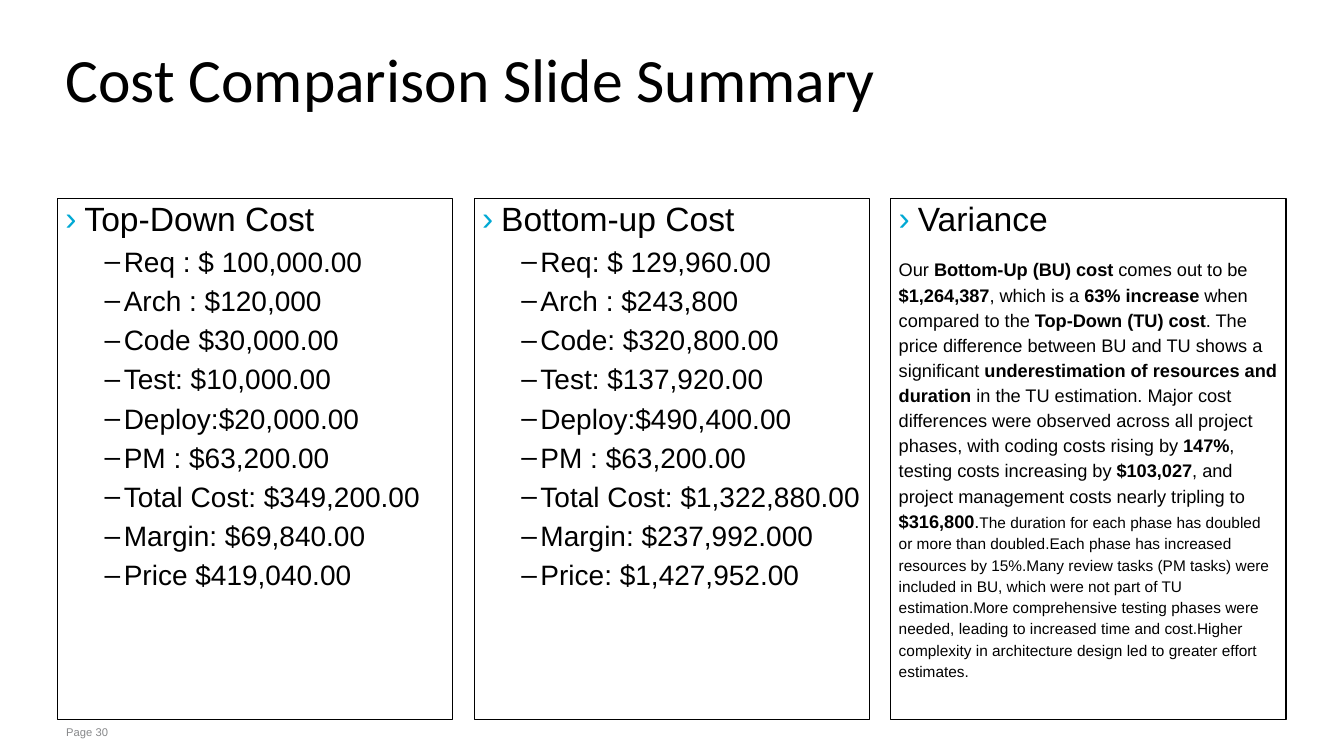
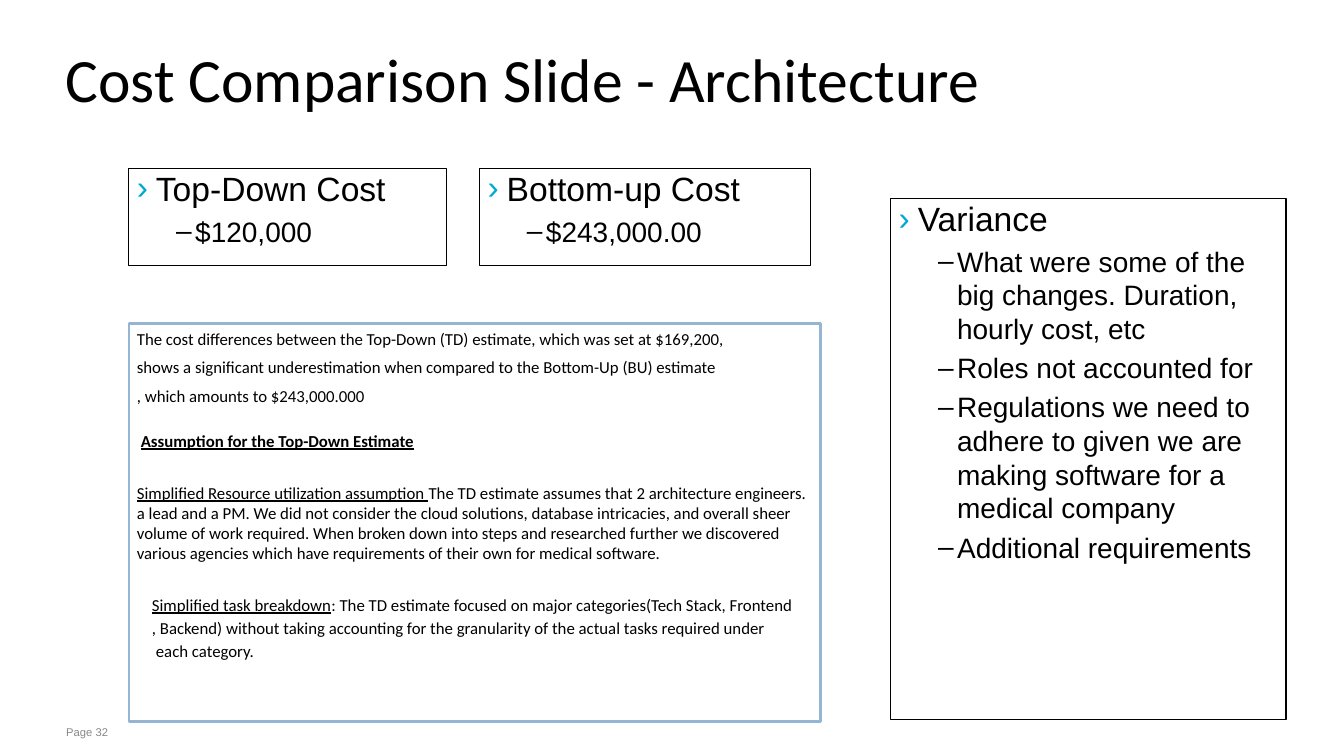
from lxml.etree import SubElement
from pptx import Presentation
from pptx.dml.color import RGBColor
from pptx.enum.text import MSO_ANCHOR as Anchor, MSO_AUTO_SIZE as AutoSize, PP_ALIGN as Align
from pptx.oxml.ns import qn
from pptx.util import Cm, Pt

BLACK = RGBColor(0x00, 0x00, 0x00)
WHITE = RGBColor(0xFF, 0xFF, 0xFF)
GREY = RGBColor(0x87, 0x88, 0x8A)
CYAN = RGBColor(0x00, 0xA9, 0xD4)
BLUE = RGBColor(0x94, 0xB6, 0xD2)

COLUMN_LEFT, COLUMN_STEP = 1.45, 10.5
COLUMN_TOP, COLUMN_WIDTH, COLUMN_HEIGHT = 5, 9.96, 13.13
COLUMNS = [
    (COLUMN_LEFT + index * COLUMN_STEP, COLUMN_TOP, COLUMN_WIDTH, COLUMN_HEIGHT)
    for index in range(3)
]


def write(para, text, size=12, font="Arial", color=BLACK, bold=False, underline=False,
          before=0, spacing=1.0, indent=0, hang=0, bullet=None, bullet_color=BLACK):
    para.alignment = Align.LEFT
    para.space_before = Pt(before)
    para.line_spacing = spacing
    for index, part in enumerate(text.split("*")):
        if part:
            marked = index % 2 == 1
            span = para.add_run()
            span.text = part
            span.font.size = Pt(size)
            span.font.name = font
            span.font.color.rgb = color
            span.font.bold = bold and marked
            span.font.underline = underline and marked
    properties = para._p.get_or_add_pPr()
    properties.set("marL", str(Cm(indent)))
    properties.set("indent", str(Cm(-hang)))
    if bullet:
        bullet_fill = SubElement(properties, qn("a:buClr"))
        SubElement(bullet_fill, qn("a:srgbClr"), val=str(bullet_color))
        SubElement(properties, qn("a:buFont"), typeface="Arial")
        SubElement(properties, qn("a:buChar"), char=bullet)


def add_frame(page, place, line=None, width=0.75, fill=None, inset=0):
    box = page.shapes.add_textbox(*map(Cm, place))
    if line is not None:
        box.line.color.rgb = line
        box.line.width = Pt(width)
    if fill is not None:
        box.fill.solid()
        box.fill.fore_color.rgb = fill
    frame = box.text_frame
    frame.word_wrap = True
    frame.margin_left = frame.margin_right = Cm(0.2)
    frame.margin_top = frame.margin_bottom = Cm(inset)
    return frame


pages = [
    ("Cost Comparison Slide Summary", "Page 30", [
        (COLUMNS[0], "Top-Down Cost", [
            "Req : $ 100,000.00", "Arch : $120,000", "Code $30,000.00",
            "Test: $10,000.00", "Deploy:$20,000.00", "PM : $63,200.00",
            "Total Cost: $349,200.00", "Margin: $69,840.00", "Price $419,040.00",
        ]),
        (COLUMNS[1], "Bottom-up Cost", [
            "Req: $ 129,960.00", "Arch : $243,800", "Code: $320,800.00",
            "Test: $137,920.00", "Deploy:$490,400.00", "PM : $63,200.00",
            "Total Cost: $1,322,880.00", "Margin: $237,992.000", "Price: $1,427,952.00",
        ]),
        (COLUMNS[2], "Variance", []),
    ]),
    ("Cost Comparison Slide - Architecture", "Page 32", [
        ((3.25, 4.24, 8, 2.44), "Top-Down Cost", ["$120,000"]),
        ((12.09, 4.24, 8.33, 2.44), "Bottom-up Cost", ["$243,000.00"]),
        (COLUMNS[2], "Variance", [
            "What were some of the big changes. Duration, hourly cost, etc",
            "Roles not accounted for",
            "Regulations we need to adhere to given we are making software "
            "for a medical company",
            "Additional requirements",
        ]),
    ]),
]

deck = Presentation()
deck.slide_width = Cm(33.87)
deck.slide_height = Cm(19.05)
frames = {}

for title_text, number, cards in pages:
    page = deck.slides.add_slide(deck.slide_layouts[5])
    title = page.shapes.title
    title.left, title.top, title.width, title.height = map(Cm, (1.45, 0.66, 27.76, 3.02))
    title_frame = title.text_frame
    title_frame.auto_size = AutoSize.NONE
    title_frame.vertical_anchor = Anchor.MIDDLE
    title_frame.margin_left = title_frame.margin_right = Cm(0.2)
    title_frame.margin_top = title_frame.margin_bottom = 0
    write(title_frame.paragraphs[0], title_text, size=44, font="Calibri", spacing=0.75)

    footer = add_frame(page, (1.47, 18.14, 27.41, 0.61), inset=0.13)
    write(footer.paragraphs[0], number, size=8, color=GREY)

    for place, heading, items in cards:
        frame = add_frame(page, place, line=BLACK)
        write(frame.paragraphs[0], heading, size=24, indent=0.48, hang=0.48,
              bullet="›", bullet_color=CYAN)
        for item in items:
            write(frame.add_paragraph(), item, size=20, before=4, indent=1.47,
                  hang=0.48, bullet="–")
        frames[number, heading] = frame

summary = frames["Page 30", "Variance"].add_paragraph()
write(
    summary,
    "Our *Bottom-Up (BU) cost* comes out to be *$1,264,387*, which is a *63% increase* "
    "when compared to the *Top-Down (TU) cost*. The price difference between BU and TU "
    "shows a significant *underestimation of resources and duration* in the TU "
    "estimation. Major cost differences were observed across all project phases, with "
    "coding costs rising by *147%*, testing costs increasing by *$103,027*, and project "
    "management costs nearly tripling to *$316,800*.",
    size=13, bold=True, before=12, spacing=1.15,
)
write(
    summary,
    "The duration for each phase has doubled or more than doubled.Each phase has "
    "increased resources by 15%.Many review tasks (PM tasks) were included in BU, which "
    "were not part of TU estimation.More comprehensive testing phases were needed, "
    "leading to increased time and cost.Higher complexity in architecture design led to "
    "greater effort estimates.",
    size=11, before=12, spacing=1.15,
)

assumptions = [
    ("The cost differences between the Top-Down (TD) estimate, which was set at "
     "$169,200,", {}),
    ("shows a significant underestimation when compared to the Bottom-Up (BU) estimate",
     {"before": 6}),
    (", which amounts to $243,000.000", {"before": 6}),
    ("*Assumption for the Top-Down Estimate*",
     {"before": 15.5, "spacing": 1.15, "indent": 0.1, "bold": True}),
    ("*Simplified Resource utilization assumption *The TD estimate assumes that 2 "
     "architecture engineers. a lead and a PM. We did not consider the cloud solutions, "
     "database intricacies, and overall sheer volume of work required. When broken down "
     "into steps and researched further we discovered various agencies which have "
     "requirements of their own for medical software.", {"before": 22.5}),
    ("*Simplified task breakdown*: The TD estimate focused on major categories(Tech "
     "Stack, Frontend", {"before": 20.5, "spacing": 1.15, "indent": 0.38}),
    (", Backend) without taking accounting for the granularity of the actual tasks "
     "required under", {"spacing": 1.15, "indent": 0.38}),
    ("each category.", {"spacing": 1.15, "indent": 0.48}),
]
notes = add_frame(page, (3.25, 8.15, 17.42, 10.03), line=BLUE, width=2, fill=WHITE, inset=0.13)
for index, (text, style) in enumerate(assumptions):
    para = notes.add_paragraph() if index else notes.paragraphs[0]
    write(para, text, font="Calibri", underline=True, **style)

deck.save("out.pptx")
